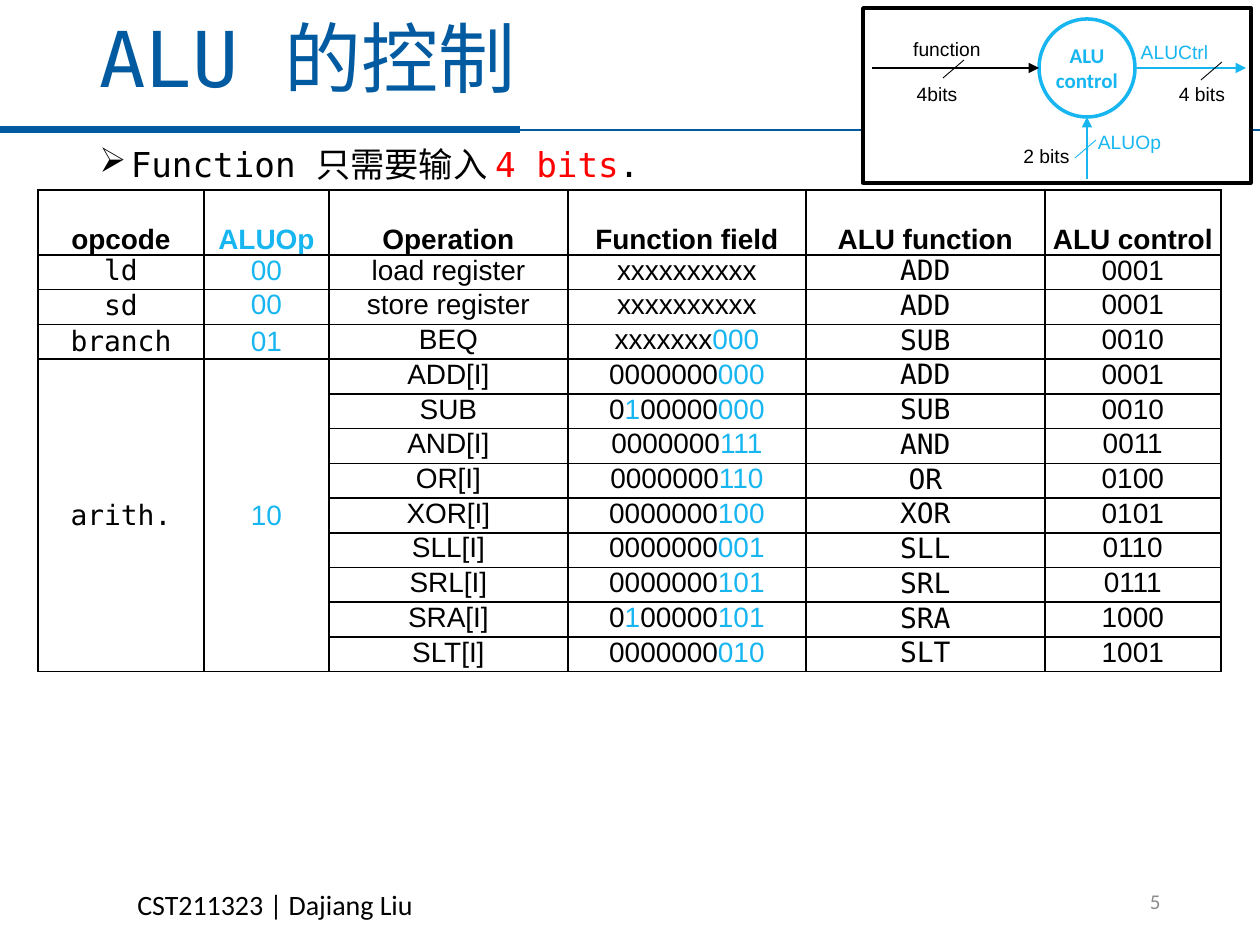
from dataclasses import dataclass
from itertools import product

from lxml import etree
from pptx import Presentation, util as u
from pptx.dml.color import RGBColor
from pptx.enum import shapes, text
from pptx.oxml import ns

EMU_PER_PX = 914400 / 126
COLORS = {"black": "000000", "white": "FFFFFF", "blue": "025AA0",
          "cyan": "17B6F1", "red": "FF0000", "gray": "8C8C8C"}
MONO, SANS, CALIBRI = "DejaVu Sans Mono", "Arial", "Calibri"
CENTER, RIGHT = text.PP_ALIGN.CENTER, text.PP_ALIGN.RIGHT
TOP, MIDDLE, BOTTOM = (text.MSO_ANCHOR.TOP, text.MSO_ANCHOR.MIDDLE,
                       text.MSO_ANCHOR.BOTTOM)


@dataclass
class Style:
    font: str
    size: float
    color: str = "black"
    bold: bool = False
    accent: str = "cyan"


@dataclass
class Block:
    """Words in a box; parts between asterisks take the accent colour."""
    words: str
    box: tuple[int, int, int, int]
    style: Style
    align: text.PP_ALIGN | None = None
    anchor: text.MSO_ANCHOR = TOP
    wrap: bool = True


@dataclass
class Line:
    start: tuple[int, int]
    end: tuple[int, int]
    color: str
    width: float
    arrow: bool = False


TITLE = Block("ALU 的控制", (87, 14, 1086, 98), Style(MONO, 44, "blue"), anchor=MIDDLE)
BULLET = Block("Function 只需要输入 *4 bits*.", (87, 142, 1057, 50),
               Style(MONO, 19.6, accent="red"))
FOOTERS = [
    Block("CST211323 | Dajiang Liu", (125, 881, 304, 47), Style(CALIBRI, 16), wrap=False),
    Block("5", (890, 876, 283, 50), Style(CALIBRI, 12, "gray"), RIGHT, MIDDLE),
]
HEADER_RULES = [Line((0, 130), (520, 130), "blue", 4),
                Line((48, 130), (1260, 130), "blue", 1)]

PANEL = (863, 8, 388, 175)
CONTROL = Block("ALU control", (1039, 19, 96, 98),
                Style(CALIBRI, 12, "cyan", bold=True), CENTER, MIDDLE)
BLACK_LABEL, CYAN_LABEL = Style(SANS, 11), Style(SANS, 11, "cyan")
LABELS = [
    Block("function", (869, 37, 156, 24), BLACK_LABEL, CENTER),
    Block("ALUOp", (1095, 130, 69, 24), CYAN_LABEL, CENTER),
    Block("ALUCtrl", (1140, 40, 69, 24), CYAN_LABEL, CENTER),
    Block("4bits", (901, 82, 72, 24), BLACK_LABEL, CENTER),
    Block("2 bits", (1020, 144, 53, 24), BLACK_LABEL, CENTER),
    Block("4 bits", (1166, 82, 72, 24), BLACK_LABEL, CENTER),
]
SIGNALS = [Line((872, 68), (1039, 68), "black", 1.5, True),
           Line((1087, 179), (1087, 117), "cyan", 1.5, True),
           Line((1135, 68), (1246, 68), "cyan", 1.5, True)]
BUS_SLASHES = [Line((x, y), (x - 21, y + 18), color, 0.5)
               for x, y, color in [(964, 60, "black"), (1096, 140, "cyan"),
                                   (1222, 62, "black")]]

HEADINGS = ["opcode", "ALUOp", "Operation", "Function field", "ALU function", "ALU control"]
INSTRUCTIONS = [
    ("ld", "00", "load register", "xxxxxxxxxx", "ADD", "0001"),
    ("sd", "00", "store register", "xxxxxxxxxx", "ADD", "0001"),
    ("branch", "01", "BEQ", "xxxxxxx*000*", "SUB", "0010"),
    ("arith.", "10", "ADD[I]", "0000000*000*", "ADD", "0001"),
    ("", "", "SUB", "0*1*00000*000*", "SUB", "0010"),
    ("", "", "AND[I]", "0000000*111*", "AND", "0011"),
    ("", "", "OR[I]", "0000000*110*", "OR", "0100"),
    ("", "", "XOR[I]", "0000000*100*", "XOR", "0101"),
    ("", "", "SLL[I]", "0000000*001*", "SLL", "0110"),
    ("", "", "SRL[I]", "0000000*101*", "SRL", "0111"),
    ("", "", "SRA[I]", "0*1*00000*101*", "SRA", "1000"),
    ("", "", "SLT[I]", "0000000*010*", "SLT", "1001"),
]
COLUMN_FONTS = [MONO, SANS, SANS, SANS, MONO, SANS]
COLUMN_COLORS = ["black", "cyan", "black", "black", "black", "black"]
COLUMN_WIDTHS = [166, 125, 239, 238, 239, 176]
TABLE_LEFT, TABLE_TOP, HEAD_HEIGHT, BODY_HEIGHT = 38, 190, 65, 417
BRANCH_ROW, ARITH_ROW = 3, 4


def emu(px: float) -> int:
    return round(px * EMU_PER_PX)


def rgb(color: str) -> RGBColor:
    return RGBColor.from_string(COLORS[color])


def write(paragraph, words: str, style: Style, align=None) -> None:
    font = paragraph.font
    font.name, font.size, font.bold = style.font, u.Pt(style.size), style.bold
    font.color.rgb = rgb(style.color)
    paragraph.alignment = align
    for index, part in enumerate(words.split("*")):
        if part:
            run = paragraph.add_run()
            run.text = part
            if index % 2:
                run.font.color.rgb = rgb(style.accent)


def clear_margins(area) -> None:
    area.margin_left = area.margin_right = area.margin_top = area.margin_bottom = 0


def add_text(slide, block: Block):
    """Add a text box and return its paragraph."""
    frame = slide.shapes.add_textbox(*map(emu, block.box)).text_frame
    frame.word_wrap, frame.vertical_anchor = block.wrap, block.anchor
    write(frame.paragraphs[0], block.words, block.style, block.align)
    return frame.paragraphs[0]


def add_plain_shape(slide, kind, box, outline: str | None = None):
    shape = slide.shapes.add_shape(kind, *map(emu, box))
    shape.shadow.inherit = False
    shape.fill.solid()
    shape.fill.fore_color.rgb = rgb("white")
    if outline:
        shape.line.color.rgb, shape.line.width = rgb(outline), u.Pt(2)
    else:
        shape.line.fill.background()
    return shape


def add_label(slide, block: Block, kind=shapes.MSO_SHAPE.RECTANGLE, outline=None) -> None:
    frame = add_plain_shape(slide, kind, block.box, outline).text_frame
    clear_margins(frame)
    frame.word_wrap, frame.vertical_anchor = True, block.anchor
    write(frame.paragraphs[0], block.words, block.style, block.align)


def add_line(slide, line: Line) -> None:
    connector = slide.shapes.add_connector(
        shapes.MSO_CONNECTOR.STRAIGHT, *map(emu, line.start + line.end))
    connector.line.color.rgb, connector.line.width = rgb(line.color), u.Pt(line.width)
    if line.arrow:
        etree.SubElement(connector.line._get_or_add_ln(), ns.qn("a:tailEnd"), type="triangle")
    etree.SubElement(connector._element.spPr, ns.qn("a:effectLst"))


def add_borders(cell) -> None:
    properties = cell._tc.get_or_add_tcPr()
    for index, side in enumerate(["lnL", "lnR", "lnT", "lnB"]):
        border = etree.Element(ns.qn(f"a:{side}"), w=str(u.Pt(1)))
        fill = etree.SubElement(border, ns.qn("a:solidFill"))
        etree.SubElement(fill, ns.qn("a:srgbClr"), val=COLORS["black"])
        properties.insert(index, border)


def add_control_table(slide) -> None:
    rows = [HEADINGS, *INSTRUCTIONS]
    table = slide.shapes.add_table(
        len(rows), len(HEADINGS), emu(TABLE_LEFT), emu(TABLE_TOP),
        emu(sum(COLUMN_WIDTHS)), emu(HEAD_HEIGHT + BODY_HEIGHT)).table
    table.first_row = table.horz_banding = False
    for column, width in zip(table.columns, COLUMN_WIDTHS):
        column.width = emu(width)
    for index, row in enumerate(table.rows):
        row.height = emu(BODY_HEIGHT / len(INSTRUCTIONS) if index else HEAD_HEIGHT)
    for r, c in product(range(len(rows)), range(len(HEADINGS))):
        cell = table.cell(r, c)
        clear_margins(cell)
        cell.fill.background()
        add_borders(cell)
        cell.vertical_anchor = BOTTOM if r == 0 else MIDDLE if r >= BRANCH_ROW and c < 2 else TOP
        style = Style(COLUMN_FONTS[c] if r else SANS, 16, COLUMN_COLORS[c], bold=r == 0)
        write(cell.text_frame.paragraphs[0], rows[r][c], style, CENTER)
    for c in range(2):
        table.cell(ARITH_ROW, c).merge(table.cell(len(rows) - 1, c))


def main() -> None:
    deck = Presentation()
    deck.slide_width, deck.slide_height = emu(1260), emu(945)
    slide = deck.slides.add_slide(deck.slide_layouts[6])
    for rule in HEADER_RULES:
        add_line(slide, rule)
    add_plain_shape(slide, shapes.MSO_SHAPE.RECTANGLE, PANEL, "black")
    add_text(slide, TITLE).line_spacing = 0.9
    bullet = add_text(slide, BULLET)
    bullet.line_spacing, bullet.space_before = 0.9, u.Pt(10)
    properties = bullet._p.get_or_add_pPr()
    properties.set("marL", str(u.Inches(0.25)))
    properties.set("indent", str(u.Inches(-0.25)))
    mark = etree.Element(ns.qn("a:buChar"), char="➢")
    properties.find(ns.qn("a:defRPr")).addprevious(mark)
    for footer in FOOTERS:
        add_text(slide, footer)
    add_control_table(slide)
    for label in LABELS:
        add_label(slide, label)
    add_label(slide, CONTROL, shapes.MSO_SHAPE.OVAL, "cyan")
    for line in SIGNALS + BUS_SLASHES:
        add_line(slide, line)
    deck.save("out.pptx")


if __name__ == "__main__":
    main()
